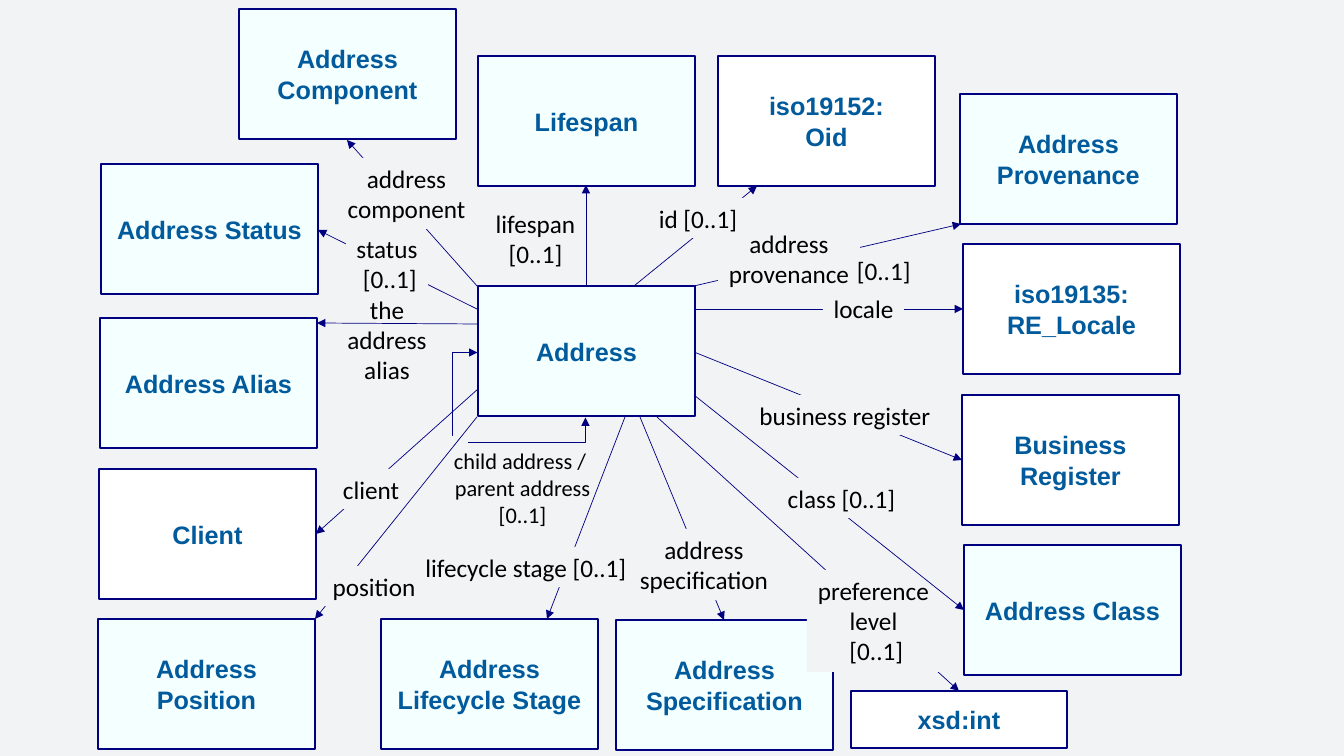
from lxml import etree
from pptx import Presentation
from pptx import util as u
from pptx.dml.color import RGBColor
from pptx.enum import shapes, text
from pptx.oxml.ns import qn

PX = 9144000 / 1008  # EMU in one pixel
NAVY, BLUE, BLACK = "000080", "005A9C", "000000"
BACK, TINT, WHITE = "F2F3F4", "F4FFFF", "FFFFFF"
BOX_W, BOX_H = 217, 130


def rgb(value):
    """Turn a hex string into a colour."""
    return RGBColor.from_string(value)


def px(*values):
    """Turn pixels into a list of EMU lengths."""
    return [u.Emu(round(v * PX)) for v in values]


prs = Presentation()
prs.slide_width, prs.slide_height = px(1344, 756)
s = prs.slides.add_slide(prs.slide_layouts[6])
s.background.fill.solid()
s.background.fill.fore_color.rgb = rgb(BACK)

# Classes: name, left, top, fill, width, height
classes = [
    ("Address", 478, 286, TINT, BOX_W, BOX_H),
    ("Address Component", 239, 9, TINT, BOX_W, BOX_H),
    ("Lifespan", 478, 56, TINT, BOX_W, BOX_H),
    ("iso19152:\vOid", 718, 56, WHITE, BOX_W, BOX_H),
    ("Address Provenance", 960, 94, TINT, BOX_W, BOX_H),
    ("iso19135: RE_Locale", 963, 244, WHITE, BOX_W, BOX_H),
    ("Business Register", 962, 395, WHITE, BOX_W, BOX_H),
    ("Address Class", 964, 545, TINT, BOX_W, BOX_H),
    ("xsd:int", 851, 691, WHITE, 216, 57),
    ("Address Specification", 616, 620, TINT, BOX_W, BOX_H),
    ("Address Lifecycle Stage", 381, 619, TINT, BOX_W, BOX_H),
    ("Address Position", 98, 619, TINT, BOX_W, BOX_H),
    ("Client", 99, 469, WHITE, BOX_W, BOX_H),
    ("Address Alias", 100, 318, TINT, BOX_W, BOX_H),
    ("Address Status", 101, 164, TINT, BOX_W, BOX_H),
]

# Arrows in drawing order; the self relation is the bent one
arrows = {
    "lifespan": (586, 286, 586, 185),
    "self": (564, 331, 499, 439),
    "provenance": (694, 286, 961, 224),
    "locale": (694, 309, 963, 309),
    "business": (694, 352, 962, 460),
    "preference": (657, 417, 959, 691),
    "lifecycle": (625, 417, 547, 619),
    "client": (478, 389, 316, 534),
    "alias": (478, 324, 317, 323),
    "status": (477, 309, 318, 230),
    "position": (477, 417, 315, 619),
    "component": (478, 287, 347, 140),
    "class": (694, 395, 964, 610),
    "id": (634, 286, 757, 186),
    "specification": (640, 417, 724, 620),
}

# Labels: wording, left, top, width, fill
labels = {
    "lifespan": ("lifespan\v[0..1]", 485, 203, 101, None),
    "self": ("child address / \nparent address\n[0..1]", 443, 442, 159, None),
    "provenance": ("address\vprovenance", 718, 223, 142, BACK),
    "locale": ("locale", 823, 288, 81, BACK),
    "business": ("business register", 748, 395, 194, BACK),
    "preference": ("preference\nlevel\v [0..1]", 807, 570, 133, BACK),
    "lifecycle": ("lifecycle stage [0..1]", 414, 547, 224, BACK),
    "client": ("client", 332, 469, 78, BACK),
    "alias": ("the\naddress\valias", 335, 289, 104, None),
    "status": ("status\v [0..1]", 346, 228, 82, BACK),
    "position": ("position", 322, 566, 104, BACK),
    "component": ("address\ncomponent", 337, 158, 139, BACK),
    "class": ("class [0..1]", 777, 478, 129, BACK),
    "id": ("id [0..1]", 648, 198, 100, BACK),
    "specification": ("address\nspecification", 629, 529, 150, BACK),
    "provenance count": ("[0..1]", 847, 250, 75, None),
}

texts = []  # text frame, font format, font colour
for name, left, top, fill, width, height in classes:
    sp = s.shapes.add_shape(shapes.MSO_SHAPE.RECTANGLE, *px(left, top, width, height))
    sp.shadow.inherit = False
    sp.fill.solid()
    sp.fill.fore_color.rgb = rgb(fill)
    sp.line.color.rgb = rgb(NAVY)
    sp.line.width = u.Pt(1)
    sp.text_frame.text = name
    texts.append((sp.text_frame, {"name": "Arial", "size": u.Pt(18), "bold": True}, BLUE))

for key, (wording, left, top, width, fill) in labels.items():
    if key in arrows:
        line = s.shapes.add_connector(shapes.MSO_CONNECTOR.STRAIGHT, *px(*arrows[key]))
        line.line.color.rgb = rgb(NAVY)
        line.line.width = u.Pt(0.5)
        spPr = line._element.spPr
        ends = ["a:headEnd", "a:tailEnd"] if key == "self" else ["a:tailEnd"]
        for end in ends:
            etree.SubElement(spPr.find(qn("a:ln")), qn(end), type="triangle")
        etree.SubElement(spPr, qn("a:effectLst"))
    if key == "self":
        spPr.find(qn("a:xfrm")).set("rot", "5400000")
        geom = spPr.find(qn("a:prstGeom"))
        geom.set("prst", "bentConnector4")
        for adj, value in (("adj1", -38700), ("adj2", 123300)):
            etree.SubElement(geom.find(qn("a:avLst")), qn("a:gd"), name=adj, fmla=f"val {value}")
        gap = s.shapes.add_shape(shapes.MSO_SHAPE.RECTANGLE, *px(450, 436, 18, 15))
        gap.shadow.inherit = False
        gap.fill.solid()
        gap.fill.fore_color.rgb = rgb(BACK)
        gap.line.fill.background()

    size, pitch = (16, 28) if key == "self" else (18, 31)
    lines = len(wording.splitlines())
    sp = s.shapes.add_textbox(*px(left, top, width, 9 + pitch * lines))
    if fill:
        sp.fill.solid()
        sp.fill.fore_color.rgb = rgb(fill)
    tf = sp.text_frame
    tf.text = wording
    tf.word_wrap = key == "alias"
    tf.auto_size = text.MSO_AUTO_SIZE.SHAPE_TO_FIT_TEXT
    texts.append((tf, {"name": "Calibri", "size": u.Pt(size)}, BLACK))

for tf, font, color in texts:
    for p in tf.paragraphs:
        p.alignment = text.PP_ALIGN.CENTER
        for r in p.runs:
            for attr, value in font.items():
                setattr(r.font, attr, value)
            r.font.color.rgb = rgb(color)
tf.paragraphs[0].alignment = text.PP_ALIGN.LEFT  # provenance count

prs.save("out.pptx")
